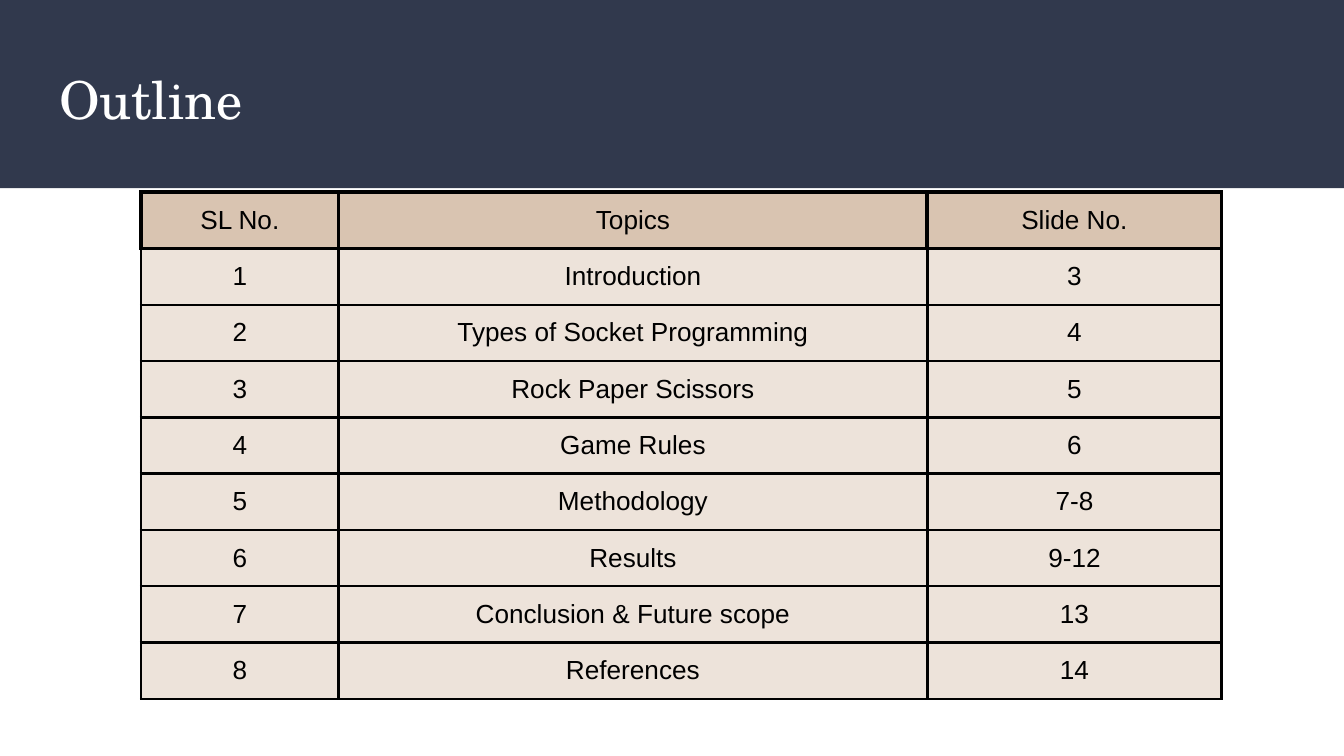
import dataclasses

import lxml.etree
import pptx
import pptx.dml.color
import pptx.enum.shapes
import pptx.enum.text
import pptx.oxml.ns
import pptx.util

Inches = pptx.util.Inches
Pt = pptx.util.Pt
RGBColor = pptx.dml.color.RGBColor

NAVY = RGBColor(0x31, 0x39, 0x4D)
WHITE = RGBColor(0xFF, 0xFF, 0xFF)
BLACK = RGBColor(0x00, 0x00, 0x00)
TAN = RGBColor(0xD9, 0xC4, 0xB1)
CREAM = RGBColor(0xED, 0xE3, 0xDA)

PAGE_WIDTH = Inches(10)
PAGE_HEIGHT = PAGE_WIDTH * 9 // 16
COLUMN_WIDTHS = (1.47, 4.38, 2.19)
ROW_HEIGHT = 0.34
HEADER_BORDER = 2.25
BODY_BORDER = 1.5


@dataclasses.dataclass(frozen=True)
class Topic:
    name: str
    slides: str


TOPICS = (
    Topic("Introduction", "3"),
    Topic("Types of Socket Programming", "4"),
    Topic("Rock Paper Scissors", "5"),
    Topic("Game Rules", "6"),
    Topic("Methodology", "7-8"),
    Topic("Results", "9-12"),
    Topic("Conclusion & Future scope", "13"),
    Topic("References", "14"),
)


def set_attributes(target, values: dict) -> None:
    for name, value in values.items():
        setattr(target, name, value)


def set_insets(target) -> None:
    sides = ("left", "top", "right", "bottom")
    set_attributes(target, {f"margin_{side}": Inches(0.1) for side in sides})


def write_text(para, text: str, font: str, size: float, color: RGBColor) -> None:
    span = para.add_run()
    span.text = text
    set_attributes(span.font, {"name": font, "size": Pt(size), "bold": False})
    span.font.color.rgb = color


def add_borders(cell, widths: dict) -> None:
    """Draw solid black borders, which must come before the cell's fill."""
    properties = cell._tc.get_or_add_tcPr()
    qn = pptx.oxml.ns.qn
    for index, (side, width) in enumerate(widths.items()):
        line = lxml.etree.Element(qn(f"a:ln{side}"), w=str(Pt(width)))
        fill = lxml.etree.SubElement(line, qn("a:solidFill"))
        lxml.etree.SubElement(fill, qn("a:srgbClr"), val=str(BLACK))
        properties.insert(index, line)


def fill_cell(cell, text: str, color: RGBColor, border: float, top: float) -> None:
    set_insets(cell)
    cell.fill.solid()
    cell.fill.fore_color.rgb = color
    para = cell.text_frame.paragraphs[0]
    para.alignment = pptx.enum.text.PP_ALIGN.CENTER
    write_text(para, text, "Arial", 14, BLACK)
    add_borders(cell, {"L": border, "R": border, "T": top, "B": border})


def add_title(page) -> None:
    title = page.shapes.title
    set_attributes(title, {"left": Inches(0.34), "top": Inches(0.4),
                           "width": Inches(9.32), "height": Inches(0.68)})
    frame = title.text_frame
    set_insets(frame)
    set_attributes(frame, {
        "word_wrap": True,
        "auto_size": pptx.enum.text.MSO_AUTO_SIZE.NONE,
        "vertical_anchor": pptx.enum.text.MSO_ANCHOR.TOP,
    })
    para = frame.paragraphs[0]
    para.alignment = pptx.enum.text.PP_ALIGN.LEFT
    write_text(para, "Outline", "TeX Gyre Schola", 28, WHITE)


def add_band(page) -> None:
    band = page.shapes.add_shape(pptx.enum.shapes.MSO_SHAPE.RECTANGLE,
                                 0, 0, PAGE_WIDTH, Inches(1.4))
    band.shadow.inherit = False
    band.fill.solid()
    band.fill.fore_color.rgb = NAVY
    band.line.fill.background()
    # Keep the band behind the title
    page.shapes.title.element.addprevious(band.element)


def add_outline(page) -> None:
    rows = [("SL No.", "Topics", "Slide No.")]
    rows += [(str(number), topic.name, topic.slides)
             for number, topic in enumerate(TOPICS, start=1)]
    table = page.shapes.add_table(
        len(rows), len(COLUMN_WIDTHS), Inches(1.05), Inches(1.43),
        Inches(sum(COLUMN_WIDTHS)), Inches(ROW_HEIGHT * len(rows))).table
    set_attributes(table, {"first_row": False, "horz_banding": False})
    for column, width in zip(table.columns, COLUMN_WIDTHS):
        column.width = Inches(width)
    for index, texts in enumerate(rows):
        table.rows[index].height = Inches(ROW_HEIGHT)
        color = CREAM if index else TAN
        border = BODY_BORDER if index else HEADER_BORDER
        top = BODY_BORDER if index > 1 else HEADER_BORDER
        for cell, text in zip(table.rows[index].cells, texts):
            fill_cell(cell, text, color, border, top)


def main() -> None:
    deck = pptx.Presentation()
    set_attributes(deck, {"slide_width": PAGE_WIDTH, "slide_height": PAGE_HEIGHT})
    page = deck.slides.add_slide(deck.slide_layouts.get_by_name("Title Only"))
    add_title(page)
    add_band(page)
    add_outline(page)
    deck.save("out.pptx")


if __name__ == "__main__":
    main()
